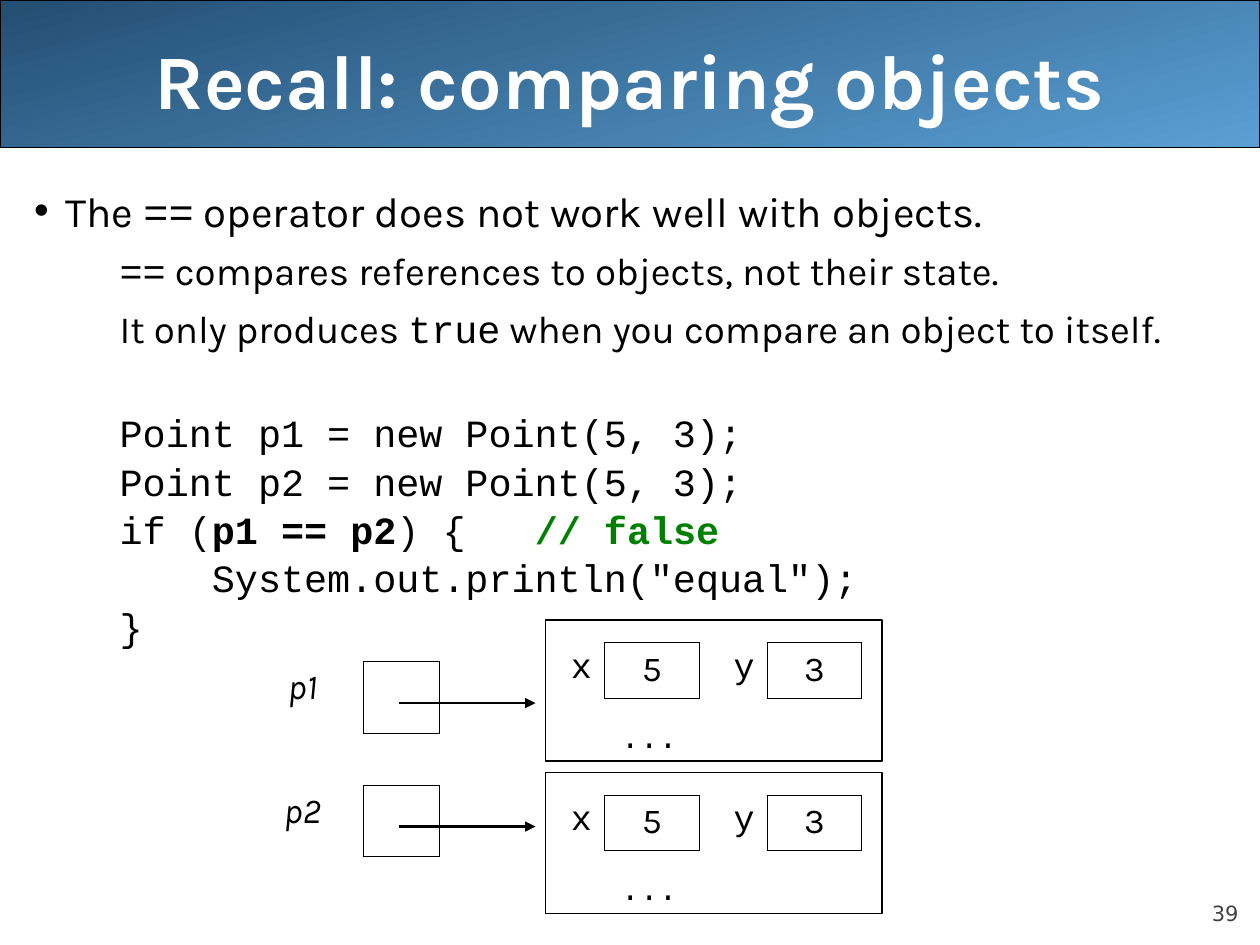
import pptx
import pptx.util
import pptx.dml.color
import pptx.enum.shapes
import pptx.enum.text
import pptx.oxml
import pptx.oxml.ns
from lxml import etree

Inches, Pt = pptx.util.Inches, pptx.util.Pt
ALIGN, ANCHOR = pptx.enum.text.PP_ALIGN, pptx.enum.text.MSO_ANCHOR
SHAPE = pptx.enum.shapes.MSO_SHAPE
qn = pptx.oxml.ns.qn

COLORS = {"ink": "000000", "title": "FFFFFF", "comment": "008000",
          "number": "424242", "band_dark": "244E72", "band_light": "5A9FD4"}
SANS, MONO, NUMBER = "Karla", "Courier New", "DejaVu Sans"
NO_STYLE = "{2D5ABB26-0587-4C30-8999-92F81FD0307C}"


def rgb(name):
    return pptx.dml.color.RGBColor.from_string(COLORS[name])


def add_text(p, text, size=22, font=SANS, color="ink", bold=False, italic=False):
    r = p.add_run()
    r.text = text
    r.font.size, r.font.name = Pt(size), font
    r.font.bold, r.font.italic = bold, italic
    r.font.color.rgb = rgb(color)
    return r


def place(sp, x, y, w, h):
    sp.left, sp.top, sp.width, sp.height = map(Inches, (x, y, w, h))


def set_bullet(p, margin, indent, char=None):
    pPr = p._p.get_or_add_pPr()
    pPr.set("marL", str(Inches(margin)))
    pPr.set("indent", str(Inches(indent)))
    if char:
        clr = etree.SubElement(pPr, qn("a:buClr"))
        etree.SubElement(clr, qn("a:srgbClr"), val=COLORS["ink"])
        etree.SubElement(pPr, qn("a:buChar"), char=char)
    else:
        etree.SubElement(pPr, qn("a:buNone"))


def add_band(s, x, y, w, h):
    sp = s.shapes.add_shape(SHAPE.ROUNDED_RECTANGLE, *map(Inches, (x, y, w, h)))
    sp.adjustments[0] = 0
    sp.shadow.inherit = False
    sp.fill.gradient()
    sp.fill.gradient_angle = 285
    for stop, name in zip(sp.fill.gradient_stops, ("band_dark", "band_light")):
        stop.color.rgb = rgb(name)
    sp.line.color.rgb = rgb("ink")
    sp.line.width = Pt(0.75)
    # The band belongs to the layout, behind every placeholder
    s.slide_layout.shapes._spTree.insert(2, sp._element)


def add_number(s, x, y, w, h, text):
    tf = s.shapes.add_textbox(*map(Inches, (x, y, w, h))).text_frame
    tf.word_wrap = True
    tf.vertical_anchor = ANCHOR.BOTTOM
    tf.margin_left = tf.margin_right = tf.margin_top = tf.margin_bottom = 0
    p = tf.paragraphs[0]
    p.alignment = ALIGN.RIGHT
    add_text(p, text, size=12, font=NUMBER, color="number")


def fill_title(sp, x, y, w, h, text):
    place(sp, x, y, w, h)
    tf = sp.text_frame
    tf.vertical_anchor = ANCHOR.MIDDLE
    p = tf.paragraphs[0]
    p.alignment = ALIGN.CENTER
    add_text(p, text, size=44, color="title", bold=True)


def fill_body(sp, x, y, w, h):
    place(sp, x, y, w, h)
    tf = sp.text_frame
    tf.auto_size = pptx.enum.text.MSO_AUTO_SIZE.NONE
    mono = {"font": MONO}
    points = [
        [("The ", {}), ("==", mono), (" operator does not work well with objects.", {})],
        [("==", mono), (" compares references to objects, not their state.", {})],
        [("It only produces ", {}), ("true", mono),
         (" when you compare an object to itself.", {})],
    ]
    code = [
        [("Point p1 = new Point(5, 3);", {})],
        [("Point p2 = new Point(5, 3);", {})],
        [("if (", {}), ("p1 == p2", {"bold": True}), (") {   ", {}),
         ("// false", {"bold": True, "color": "comment"})],
        [('    System.out.println("equal");', {})],
        [("}", {})],
    ]
    for i, runs in enumerate(points + code):
        p = tf.add_paragraph() if i else tf.paragraphs[0]
        is_code = i >= len(points)
        p.level = min(i, 1)
        p.line_spacing = 0.8 if is_code else 1.0
        # The first code line stands one line below the points
        p.space_before = Pt(38.7 if i == len(points) else 6.5 if i else 6)
        if i:
            set_bullet(p, 0.68, 0)
        else:
            set_bullet(p, 0.25, -0.25, "•")
        for text, fmt in runs:
            base = {"size": 22 if i else 24, "font": MONO if is_code else SANS}
            add_text(p, text, **{**base, **fmt})


def add_grid(s, x, y, widths, h):
    """Add a one-row table without style and return its cells."""
    frame = s.shapes.add_table(1, len(widths), *map(Inches, (x, y, sum(widths), h)))
    table = frame.table
    table.first_row = table.horz_banding = False
    table._tbl.tblPr.find(qn("a:tableStyleId")).text = NO_STYLE
    table.rows[0].height = Inches(h)
    for col, w in zip(table.columns, widths):
        col.width = Inches(w)
    return list(table.rows[0].cells)


def format_cell(cell, text="", sides="", align=ALIGN.CENTER, **fmt):
    p = cell.text_frame.paragraphs[0]
    p.alignment = align
    p.space_before = Pt(5)
    if text:
        add_text(p, text, size=20, **fmt)
    tcPr = cell._tc.get_or_add_tcPr()
    for side in sides:
        ln = etree.SubElement(tcPr, qn("a:ln" + side), w=str(Pt(0.45)))
        fill = etree.SubElement(ln, qn("a:solidFill"))
        etree.SubElement(fill, qn("a:srgbClr"), val=COLORS["ink"])
    cell.fill.background()


def add_object(s, x, y, w, h):
    """Draw a Point object with its two fields."""
    sp = s.shapes.add_shape(SHAPE.RECTANGLE, *map(Inches, (x, y, w, h)))
    sp.shadow.inherit = False
    sp.fill.background()
    sp.line.color.rgb = rgb("ink")
    sp.line.width = Pt(0.75)
    tf = sp.text_frame
    tf.word_wrap = True
    tf.vertical_anchor = ANCHOR.BOTTOM
    p = tf.paragraphs[0]
    p.alignment = ALIGN.LEFT
    set_bullet(p, 0.5, 0)
    add_text(p, "...", size=18, font=MONO)

    cells = add_grid(s, x + 0.1, y + 0.18, (0.37, 0.75, 0.54, 0.75), 0.44)
    format_cell(cells[0], "x", "R", font=MONO)
    format_cell(cells[1], "5", "LRTB")
    format_cell(cells[2], "y", "LR", ALIGN.RIGHT, font=MONO)
    format_cell(cells[3], "3", "LRTB")


def add_variable(s, x, y, h, name):
    """Draw a variable and the arrow of its reference."""
    label, box = add_grid(s, x, y, (0.96, 0.61), h)
    format_cell(label, name, "R", italic=True)
    format_cell(box, sides="LRTB")
    ends = (x + 1.25, y + 0.33, x + 2.33, y + 0.33)
    c = s.shapes.add_connector(pptx.enum.shapes.MSO_CONNECTOR.STRAIGHT,
                               *map(Inches, ends))
    c.line.color.rgb = rgb("ink")
    c.line.width = Pt(1.5)
    etree.SubElement(c.line._get_or_add_ln(), qn("a:tailEnd"), type="triangle")
    etree.SubElement(c._element.spPr, qn("a:effectLst"))


def main():
    prs = pptx.Presentation()
    prs.slide_width, prs.slide_height = Inches(10), Inches(7.5)
    s = prs.slides.add_slide(prs.slide_layouts[1])

    # Frame of the slide
    add_band(s, 0, 0, 10, 1.17)
    add_number(s, 9, 6.95, 0.83, 0.4, "39")

    # Text
    fill_title(s.shapes.title, 0.5, 0, 9, 1.25, "Recall: comparing objects")
    fill_body(s.placeholders[1], 0.17, 1.42, 9.83, 5.67)

    # Two variables and the objects they refer to
    for name, variable_y, object_y in (("p1", 5.25, 4.92), ("p2", 6.23, 6.13)):
        add_object(s, 4.33, object_y, 2.67, 1.12)
        add_variable(s, 1.92, variable_y, 0.57, name)

    prs.save("out.pptx")


if __name__ == "__main__":
    main()
